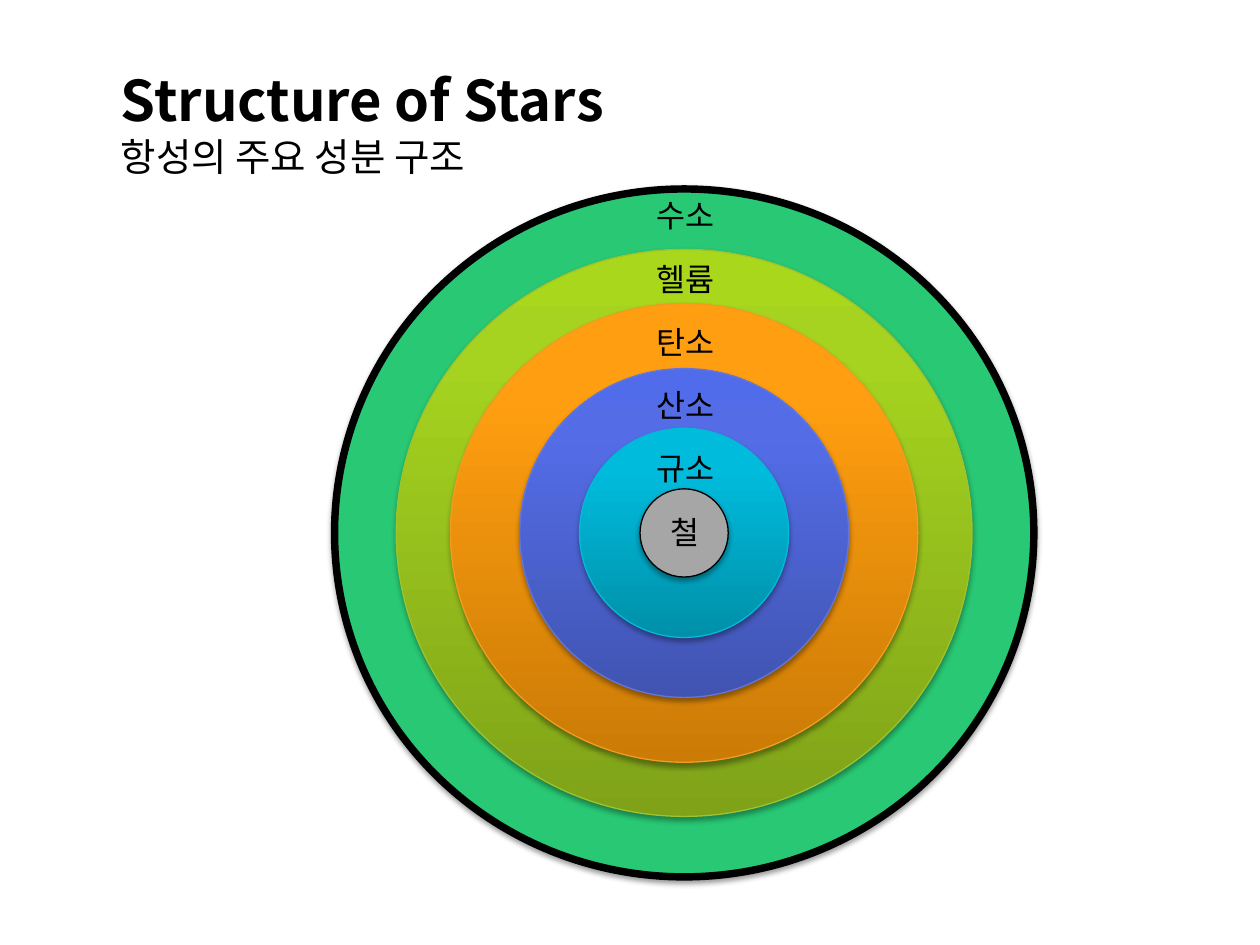
from copy import deepcopy
from dataclasses import dataclass

from lxml.etree import SubElement
from pptx import Presentation
from pptx.dml.color import RGBColor
from pptx.enum.shapes import MSO_SHAPE as Shape
from pptx.enum.text import MSO_AUTO_SIZE as AutoSize, PP_ALIGN as Align
from pptx.oxml.ns import qn
from pptx.util import Inches, Pt


@dataclass(frozen=True)
class Theme:
    font: str = "Noto Sans CJK KR"
    ink: str = "000000"
    title: int = 32
    subtitle: int = 22
    label: int = 18
    stops: tuple = (0, 0.8, 1)


THEME = Theme()
WIDTH, HEIGHT = 10, 7.5
CENTER_X, CENTER_Y = 5.43, 4.23
LABEL_WIDTH, LABEL_HEIGHT = 0.87, 0.4
LABEL_TOP, LABEL_STEP = 1.51, 0.502

# Outermost first: name, width, height, fill (one colour or gradient), line, line width
LAYERS = [
    ("수소", 5.55, 5.46, ["28C874"], THEME.ink, 4.25),
    ("헬륨", 4.57, 4.5, ["7FA218", "A5D31F", "A8D71B"], "9EC330", 0.75),
    ("탄소", 3.71, 3.64, ["CB7B06", "FF9E10", "FF9E12"], "F29C20", 0.75),
    ("산소", 2.61, 2.61, ["4154B2", "546DE7", "516CEB"], "6377DB", 0.75),
    ("규소", 1.66, 1.66, ["0090A9", "00BBDC", "00BBDD"], "03BADB", 0.75),
    ("철", 0.7, 0.7, ["A6A6A6"], THEME.ink, 0.75),
]


def rgb(color):
    return RGBColor.from_string(color)


def paint(shape, colors):
    """Fill with one colour, or with a gradient rising from the bottom."""
    fill = shape.fill
    if len(colors) == 1:
        fill.solid()
        fill.fore_color.rgb = rgb(colors[0])
        return
    fill.gradient()
    fill.gradient_angle = 90
    stop_list = next(shape._element.spPr.iter(qn("a:gsLst")))
    stop_list.append(deepcopy(stop_list[-1]))
    for stop, color, position in zip(fill.gradient_stops, colors, THEME.stops):
        stop.color.rgb = rgb(color)
        stop.position = position


def add_shadow(shape, distance, opacity):
    """Cast a soft shadow straight down."""
    shape.shadow.inherit = False
    effects = shape._element.spPr.find(qn("a:effectLst"))
    shadow = SubElement(effects, qn("a:outerShdw"), blurRad=str(Pt(3.1)),
                        dist=str(Pt(distance)), dir="5400000", rotWithShape="0")
    color = SubElement(shadow, qn("a:srgbClr"), val=THEME.ink)
    SubElement(color, qn("a:alpha"), val=str(opacity * 1000))


def add_layer(page, width, height, colors, line, line_width):
    disc = page.shapes.add_shape(
        Shape.OVAL, Inches(CENTER_X - width / 2), Inches(CENTER_Y - height / 2),
        Inches(width), Inches(height))
    paint(disc, colors)
    disc.line.color.rgb = rgb(line)
    disc.line.width = Pt(line_width)
    return disc


def add_text(page, left, top, width, height, lines, align=Align.LEFT):
    """Add a text box; each line is (text, size, bold)."""
    box = page.shapes.add_textbox(*map(Inches, (left, top, width, height)))
    frame = box.text_frame
    frame.word_wrap = True
    frame.auto_size = AutoSize.SHAPE_TO_FIT_TEXT
    for index, (text, size, bold) in enumerate(lines):
        para = frame.add_paragraph() if index else frame.paragraphs[0]
        para.text = text
        para.alignment = align
        font = para.font
        font.size, font.bold, font.name = Pt(size), bold, THEME.font
        font.color.rgb = rgb(THEME.ink)
        properties = para._p.pPr.find(qn("a:defRPr"))
        SubElement(properties, qn("a:ea"), typeface=THEME.font)


def main():
    deck = Presentation()
    deck.slide_width, deck.slide_height = Inches(WIDTH), Inches(HEIGHT)
    page = deck.slides.add_slide(deck.slide_layouts[6])

    for index, (_, *look) in enumerate(LAYERS):
        disc = add_layer(page, *look)
        add_shadow(disc, *((1.8, 35) if index else (1.6, 38)))
    for index, (name, *_) in enumerate(LAYERS):
        add_text(page, CENTER_X + 0.01 - LABEL_WIDTH / 2, LABEL_TOP + index * LABEL_STEP,
                 LABEL_WIDTH, LABEL_HEIGHT, [(name, THEME.label, False)], Align.CENTER)
    add_text(page, 0.86, 0.47, 6.09, 1.01, [
        ("Structure of Stars", THEME.title, True),
        ("항성의 주요 성분 구조", THEME.subtitle, False),
    ])
    deck.save("out.pptx")


if __name__ == "__main__":
    main()
